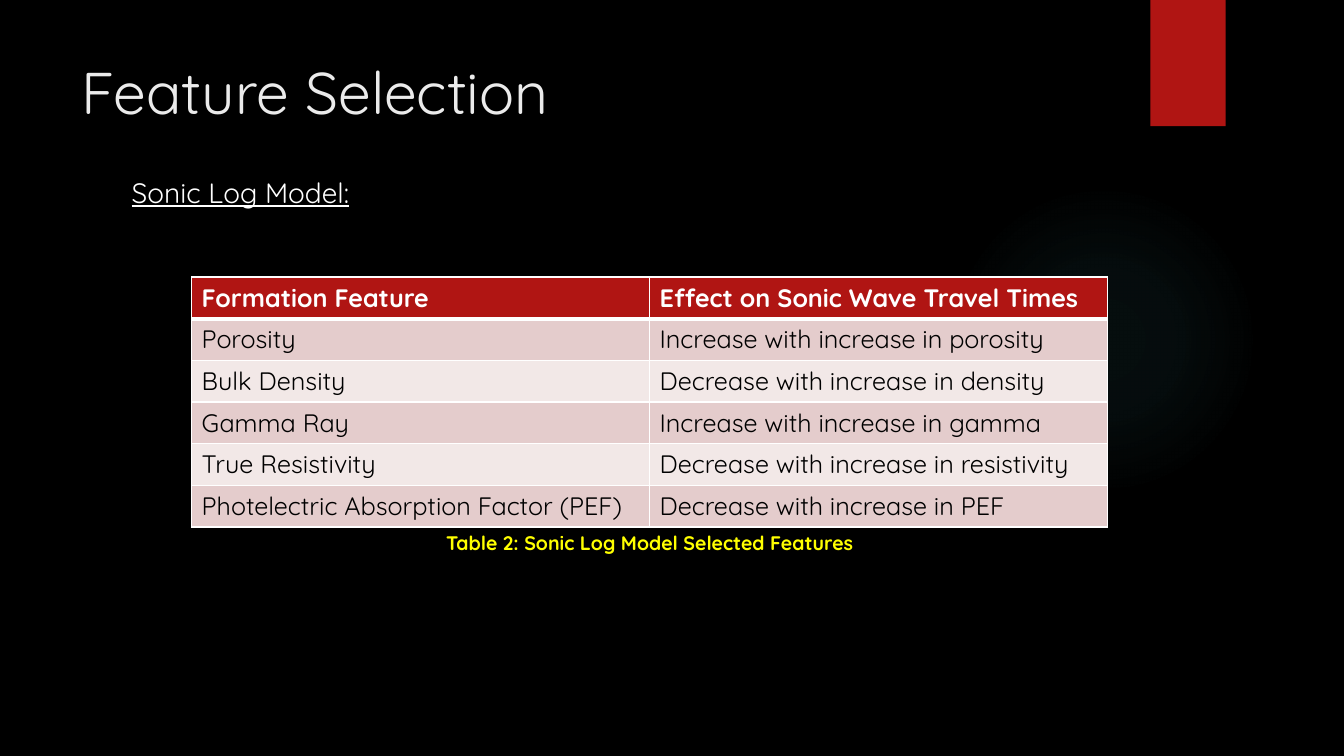
import dataclasses

import pptx
import pptx.dml.color
import pptx.enum.shapes
import pptx.enum.text
import pptx.oxml
import pptx.oxml.ns
import pptx.util

Cm = pptx.util.Cm
Pt = pptx.util.Pt
SHAPES = pptx.enum.shapes.MSO_SHAPE
ALIGN = pptx.enum.text.PP_ALIGN
NS = pptx.oxml.ns.nsdecls("a")


@dataclasses.dataclass(frozen=True)
class Theme:
    font: str = "Quicksand"
    back: str = "000000"
    glow: str = "50B9C1"
    accent: str = "B01513"
    title: str = "EBEBEB"
    light: str = "FFFFFF"
    dark: str = "000000"
    note: str = "FFFF00"
    bands: tuple = ("E4CCCC", "F2E8E7")
    title_size: int = 42
    head_size: int = 20
    cell_size: int = 18
    note_size: int = 14


ROWS = [
    ("Formation Feature", "Effect on Sonic Wave Travel Times"),
    ("Porosity", "Increase with increase in porosity"),
    ("Bulk Density", "Decrease with increase in density"),
    ("Gamma Ray", "Increase with increase in gamma"),
    ("True Resistivity", "Decrease with increase in resistivity"),
    ("Photelectric Absorption Factor (PEF)", "Decrease with increase in PEF"),
]


def rgb(code):
    return pptx.dml.color.RGBColor.from_string(code)


class Painter:
    def __init__(self, slide, theme):
        self.slide = slide
        self.theme = theme
        self.paint(slide.background.fill, theme.back)

    def paint(self, fill, color):
        fill.solid()
        fill.fore_color.rgb = rgb(color)

    def letter(self, frame, text, size, color, bold=False, line=False, align=ALIGN.LEFT):
        """Put one styled paragraph in a text frame."""
        frame.word_wrap = True
        para = frame.paragraphs[0]
        para.text = text
        para.alignment = align
        font = para.font
        font.name = self.theme.font
        font.size = Pt(size)
        font.bold = bold
        font.underline = line
        font.color.rgb = rgb(color)

    def text(self, box, *args, **style):
        area = self.slide.shapes.add_textbox(*map(Cm, box))
        self.letter(area.text_frame, *args, **style)

    def shape(self, kind, box, color):
        shape = self.slide.shapes.add_shape(kind, *map(Cm, box))
        shape.shadow.inherit = False
        shape.line.fill.background()
        self.paint(shape.fill, color)
        return shape

    def glow(self, box, color, stops):
        """Draw a circle whose colour fades outward; stops are (place, opacity) in percent."""
        shape = self.shape(SHAPES.OVAL, box, color)
        marks = "".join(
            f'<a:gs pos="{place * 1000}"><a:srgbClr val="{color}">'
            f'<a:alpha val="{alpha * 1000}"/></a:srgbClr></a:gs>'
            for place, alpha in stops
        )
        grad = pptx.oxml.parse_xml(
            f'<a:gradFill {NS}><a:gsLst>{marks}</a:gsLst><a:path path="circle">'
            '<a:fillToRect l="50000" t="50000" r="50000" b="50000"/></a:path></a:gradFill>'
        )
        solid = shape.element.spPr.find(pptx.oxml.ns.qn("a:solidFill"))
        solid.getparent().replace(solid, grad)

    def edge(self, cell, widths):
        """Set cell borders; widths are points for left, right, top and bottom."""
        props = cell._tc.get_or_add_tcPr()
        for index, (side, width) in enumerate(zip("LRTB", widths)):
            props.insert(index, pptx.oxml.parse_xml(
                f'<a:ln{side} {NS} w="{Pt(width)}"><a:solidFill>'
                f'<a:srgbClr val="{self.theme.light}"/></a:solidFill></a:ln{side}>'
            ))

    def table(self, box, rows):
        theme = self.theme
        grid = self.slide.shapes.add_table(len(rows), len(rows[0]), *map(Cm, box)).table
        grid.horz_banding = False
        for r, row in enumerate(rows):
            head = r == 0
            fill = theme.accent if head else theme.bands[(r - 1) % 2]
            ink = theme.light if head else theme.dark
            for c, text in enumerate(row):
                cell = grid.cell(r, c)
                self.paint(cell.fill, fill)
                self.letter(cell.text_frame, text, theme.cell_size, ink, bold=head)
                self.edge(cell, (1, 1, 3 if r == 1 else 1, 3 if head else 1))


def main():
    deck = pptx.Presentation()
    deck.slide_width, deck.slide_height = Cm(33.87), Cm(19.05)
    theme = Theme()
    page = Painter(deck.slides.add_slide(deck.slide_layouts[6]), theme)
    page.glow((23.9, 4.65, 7.82, 7.82), theme.glow, [(0, 7), (36, 6), (69, 0)])
    page.shape(SHAPES.RECTANGLE, (28.99, 0, 1.9, 3.18), theme.accent)
    page.text((1.8, 1.27, 26.14, 3.89), "Feature Selection", theme.title_size, theme.title)
    page.text((3.07, 4.29, 24.84, 11.66), "Sonic Log Model:",
              theme.head_size, theme.light, line=True)
    page.table((4.83, 6.98, 23.08, 6.3), ROWS)
    page.text((10.87, 13.26, 11.02, 0.86), "Table 2: Sonic Log Model Selected Features",
              theme.note_size, theme.note, bold=True, align=ALIGN.CENTER)
    deck.save("out.pptx")


if __name__ == "__main__":
    main()
